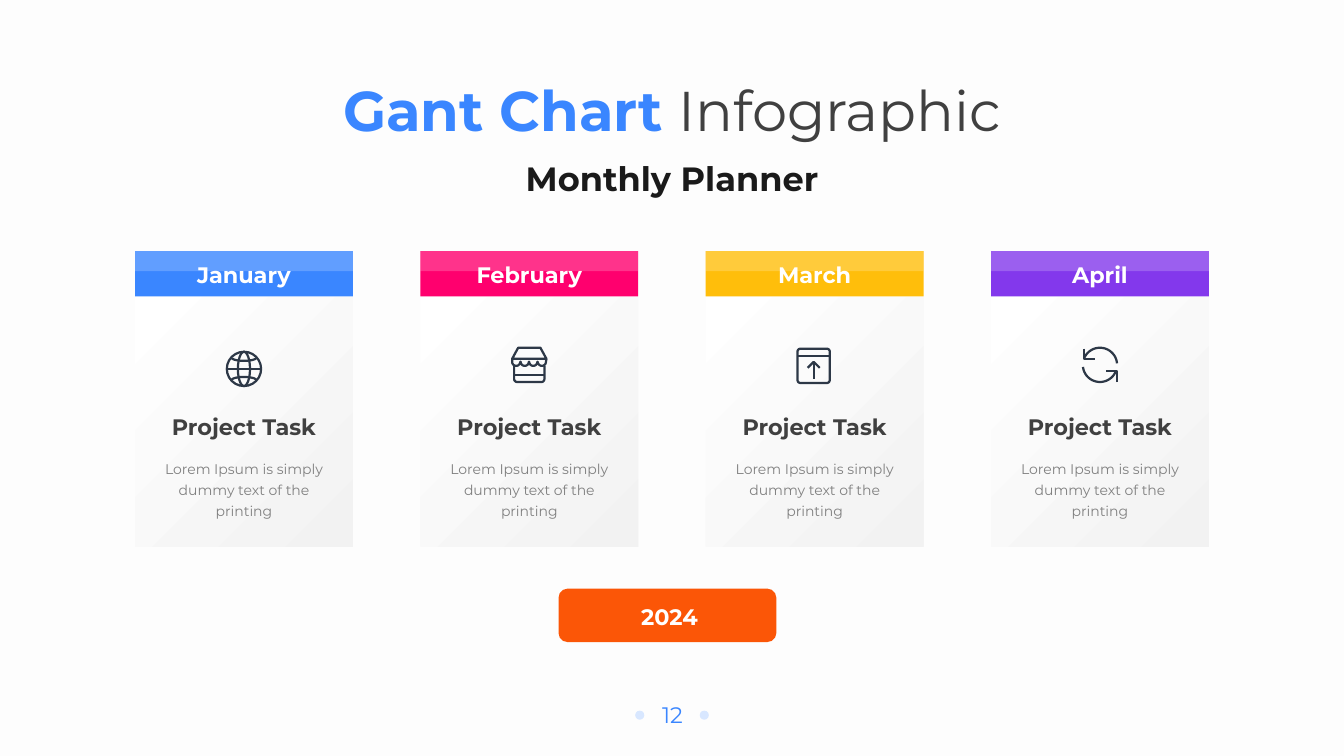
from dataclasses import dataclass
from math import cos, radians, sin

from lxml.etree import SubElement
from pptx import Presentation
from pptx.dml.color import RGBColor
from pptx.enum.shapes import MSO_SHAPE
from pptx.enum.text import MSO_ANCHOR, MSO_AUTO_SIZE, PP_ALIGN
from pptx.oxml.ns import qn
from pptx.util import Inches, Pt


@dataclass(frozen=True)
class Theme:
    """Colours, font and type sizes of the slide."""
    font: str = "Montserrat"
    background: str = "FDFDFD"
    white: str = "FFFFFF"
    card_end: str = "F2F2F2"
    accent: str = "3A86FF"
    pink: str = "FF006E"
    yellow: str = "FFBE0B"
    purple: str = "8338EC"
    orange: str = "FB5607"
    dot: str = "D8E7FF"
    heading: str = "404040"
    subtitle: str = "1A1A1A"
    muted: str = "808080"
    icon: str = "2D3847"
    title_size: int = 40
    subtitle_size: int = 24
    label_size: int = 16
    body_size: int = 10
    icon_line: float = 1.6


THEME = Theme()


def rgb(value):
    """Turn a hexadecimal string into a colour."""
    return RGBColor.from_string(value)


def place(shape, left, top, width, height):
    """Move and size a shape, in inches."""
    shape.left, shape.top = Inches(left), Inches(top)
    shape.width, shape.height = Inches(width), Inches(height)


def style_run(run, size, color, bold=False):
    """Apply the theme font to a run."""
    run.font.name = THEME.font
    run.font.size = Pt(size)
    run.font.bold = bold
    run.font.color.rgb = rgb(color)


def add_label(slide, text, box, color, size=THEME.label_size, bold=True,
              anchor=MSO_ANCHOR.TOP, spacing=1.0):
    """Add a centred text box."""
    shape = slide.shapes.add_textbox(*map(Inches, box))
    frame = shape.text_frame
    frame.word_wrap = True
    frame.auto_size = MSO_AUTO_SIZE.SHAPE_TO_FIT_TEXT
    frame.vertical_anchor = anchor
    frame.text = text
    paragraph = frame.paragraphs[0]
    paragraph.alignment = PP_ALIGN.CENTER
    paragraph.line_spacing = spacing
    style_run(paragraph.runs[0], size, color, bold)


def add_block(slide, kind, box, color, opacity=100):
    """Add a flat shape without outline or shadow."""
    shape = slide.shapes.add_shape(kind, *map(Inches, box))
    shape.shadow.inherit = False
    shape.line.fill.background()
    shape.fill.solid()
    shape.fill.fore_color.rgb = rgb(color)
    if opacity < 100:
        color_element = next(shape.element.spPr.iter(qn("a:srgbClr")))
        SubElement(color_element, qn("a:alpha"), val=str(opacity * 1000))
    return shape


def add_panel(slide, box, color):
    """Add a top-rounded rectangle with its corners squared off."""
    panel = add_block(slide, MSO_SHAPE.ROUND_2_SAME_RECTANGLE, box, color)
    panel.adjustments[0] = panel.adjustments[1] = 0
    return panel


def arc(x, y, radius_x, radius_y, start, end):
    """Return points along an elliptical arc, angles clockwise from the right."""
    steps = 24
    angles = [radians(start + (end - start) * step / steps) for step in range(steps + 1)]
    return [(x + radius_x * cos(angle), y + radius_y * sin(angle)) for angle in angles]


def globe_strokes():
    """Return the strokes of a globe."""
    return [arc(0.18, 0.18, 0.17, 0.17, 0, 360),
            arc(0.18, 0.18, 0.06, 0.17, 0, 360),
            [(0.01, 0.18), (0.35, 0.18)],
            arc(0.18, 0.07, 0.12, 0.03, 0, 180),
            arc(0.18, 0.29, 0.12, 0.03, 180, 360)]


def shop_strokes():
    """Return the strokes of a shop front with a scalloped awning."""
    scallops = [point for index in range(4)
                for point in arc(0.05 + 0.085 * index, 0.15, 0.04, 0.04, 180, 0)]
    return [[(0.01, 0.12), (0.07, 0.01), (0.29, 0.01), (0.35, 0.12), (0.01, 0.12)],
            [(0.01, 0.12)] + scallops + [(0.35, 0.12)],
            [(0.03, 0.19)] + arc(0.06, 0.32, 0.03, 0.03, 180, 90)
            + arc(0.3, 0.32, 0.03, 0.03, 90, 0) + [(0.33, 0.19)],
            [(0.03, 0.28), (0.33, 0.28)]]


def upload_strokes():
    """Return the strokes of a window with an upward arrow."""
    corners = [(0.04, 0.04, 180), (0.3, 0.04, 270), (0.3, 0.32, 0), (0.04, 0.32, 90)]
    frame = [point for x, y, start in corners
             for point in arc(x, y, 0.03, 0.03, start, start + 90)]
    return [frame + frame[:1],
            [(0.01, 0.08), (0.33, 0.08)],
            [(0.17, 0.31), (0.17, 0.14)],
            [(0.11, 0.2), (0.17, 0.14), (0.23, 0.2)]]


def refresh_strokes():
    """Return the strokes of two circling arrows."""
    return [arc(0.18, 0.18, 0.17, 0.17, 205, 355),
            [(0.02, 0.02), (0.02, 0.12), (0.13, 0.12)],
            arc(0.18, 0.18, 0.17, 0.17, 25, 173),
            [(0.35, 0.35), (0.35, 0.24), (0.24, 0.24)]]


def add_icon(slide, strokes, left, top):
    """Draw the strokes of an icon as one outline."""
    contours = [[(Inches(left + x), Inches(top + y)) for x, y in stroke] for stroke in strokes]
    builder = slide.shapes.build_freeform(*contours[0][0], scale=1.0)
    for index, contour in enumerate(contours):
        if index:
            builder.move_to(*contour[0])
        builder.add_line_segments(contour[1:], close=False)
    icon = builder.convert_to_shape()
    icon.shadow.inherit = False
    icon.fill.background()
    icon.line.color.rgb = rgb(THEME.icon)
    icon.line.width = Pt(THEME.icon_line)


def add_heading(slide, left, top, width):
    """Fill the title and subtitle placeholders."""
    title, subtitle = slide.placeholders
    place(title, left, top, width, 0.77)
    place(subtitle, left + 1.33, top + 0.76, width - 2.66, 0.56)
    rows = [(title, MSO_ANCHOR.TOP, 1.0, THEME.title_size,
             [("Gant Chart ", THEME.accent, True), ("Infographic", THEME.heading, False)]),
            (subtitle, MSO_ANCHOR.BOTTOM, 0.9, THEME.subtitle_size,
             [("Monthly Planner", THEME.subtitle, True)])]
    for shape, anchor, spacing, size, parts in rows:
        frame = shape.text_frame
        frame.word_wrap = True
        frame.auto_size = MSO_AUTO_SIZE.NONE
        frame.vertical_anchor = anchor
        paragraph = frame.paragraphs[0]
        paragraph.alignment = PP_ALIGN.CENTER
        paragraph.line_spacing = spacing
        paragraph.space_before = Pt(0)
        for text, color, bold in parts:
            run = paragraph.add_run()
            run.text = text
            style_run(run, size, color, bold)


def add_month_card(slide, left, top, width, month, color, strokes, icon_offset):
    """Add a month header above its task card."""
    add_panel(slide, (left, top, width, 0.45), color)
    card = add_panel(slide, (left, top + 0.46, width, 2.47), THEME.white)
    card.fill.gradient()
    card.fill.gradient_angle = 315
    for stop, stop_color in zip(card.fill.gradient_stops, (THEME.white, THEME.card_end)):
        stop.color.rgb = rgb(stop_color)
    add_label(slide, "Project Task", (left + 0.15, top + 1.56, width - 0.3, 0.37),
              THEME.heading, anchor=MSO_ANCHOR.MIDDLE)
    add_label(slide, "Lorem Ipsum is simply dummy text of the printing",
              (left + 0.15, top + 1.99, width - 0.3, 0.71), THEME.muted,
              THEME.body_size, bold=False, spacing=1.25)
    add_label(slide, month, (left + 0.36, top + 0.05, width - 0.72, 0.37), THEME.white)
    add_block(slide, MSO_SHAPE.RECTANGLE, (left, top, width, 0.2), THEME.white, opacity=20)
    add_icon(slide, strokes, left + 0.9, top + icon_offset)


def add_year_button(slide, left, top, width):
    """Add the year button."""
    add_block(slide, MSO_SHAPE.ROUNDED_RECTANGLE, (left, top, width, 0.53), THEME.orange)
    add_label(slide, "2024", (left + 0.38, top + 0.09, width - 0.72, 0.37), THEME.white)


def add_page_number(slide, left, top, width):
    """Add the page number between two dots."""
    add_label(slide, "12", (left + 0.06, top, width - 0.11, 0.37), THEME.accent, bold=False)
    for dot_left in (left, left + width - 0.09):
        add_block(slide, MSO_SHAPE.OVAL, (dot_left, top + 0.14, 0.09, 0.09), THEME.dot)


def main():
    """Build and save the slide."""
    presentation = Presentation()
    presentation.slide_width, presentation.slide_height = Inches(13.33), Inches(7.5)
    slide = presentation.slides.add_slide(presentation.slide_layouts[0])
    slide.background.fill.solid()
    slide.background.fill.fore_color.rgb = rgb(THEME.background)
    add_heading(slide, 3.25, 0.7, 6.83)
    months = [("January", THEME.accent, globe_strokes(), 0.99),
              ("February", THEME.pink, shop_strokes(), 0.95),
              ("March", THEME.yellow, upload_strokes(), 0.96),
              ("April", THEME.purple, refresh_strokes(), 0.95)]
    for index, month in enumerate(months):
        add_month_card(slide, 1.34 + 2.83 * index, 2.49, 2.16, *month)
    add_year_button(slide, 5.54, 5.84, 2.16)
    add_page_number(slide, 6.3, 6.91, 0.73)
    presentation.save("out.pptx")


if __name__ == "__main__":
    main()
